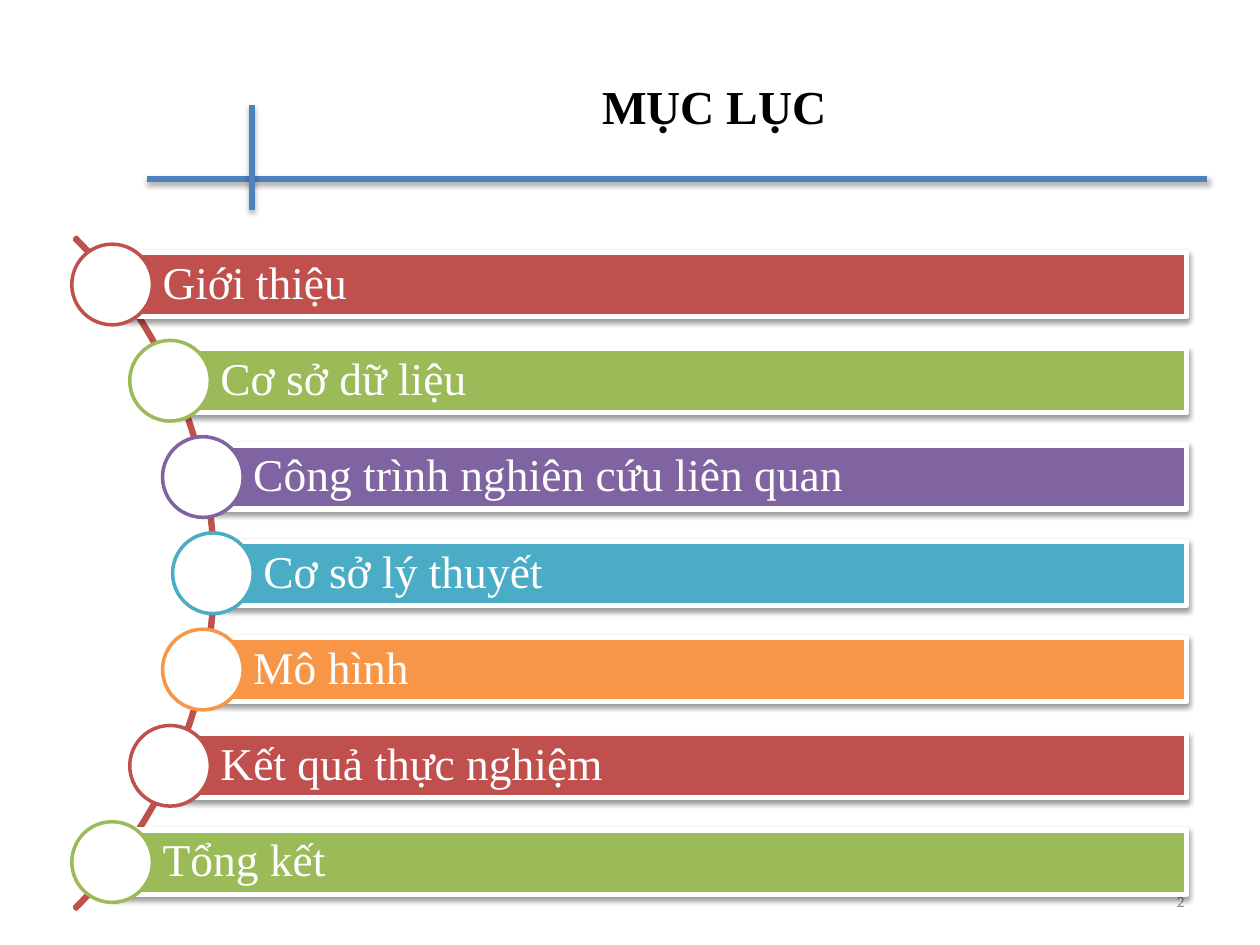
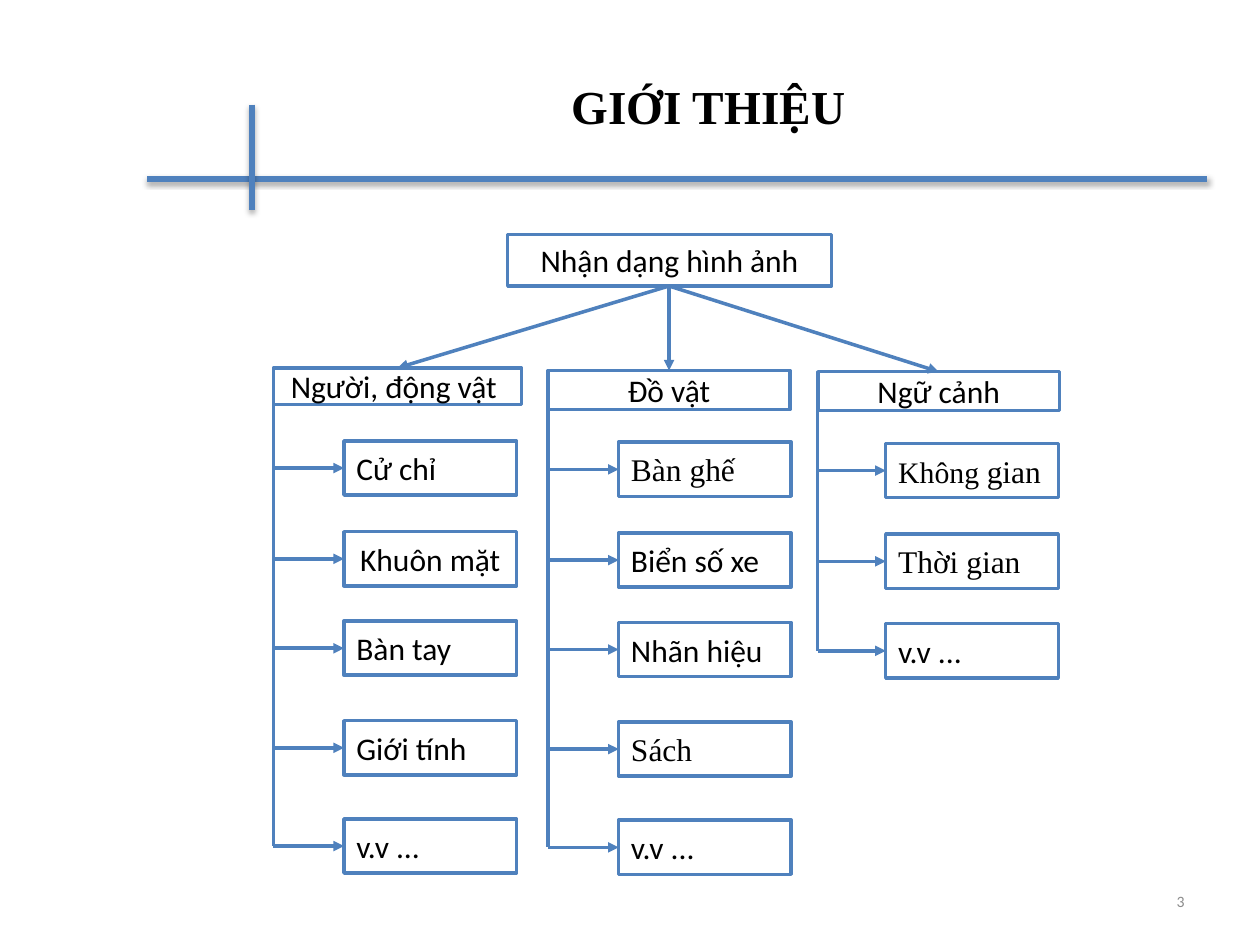
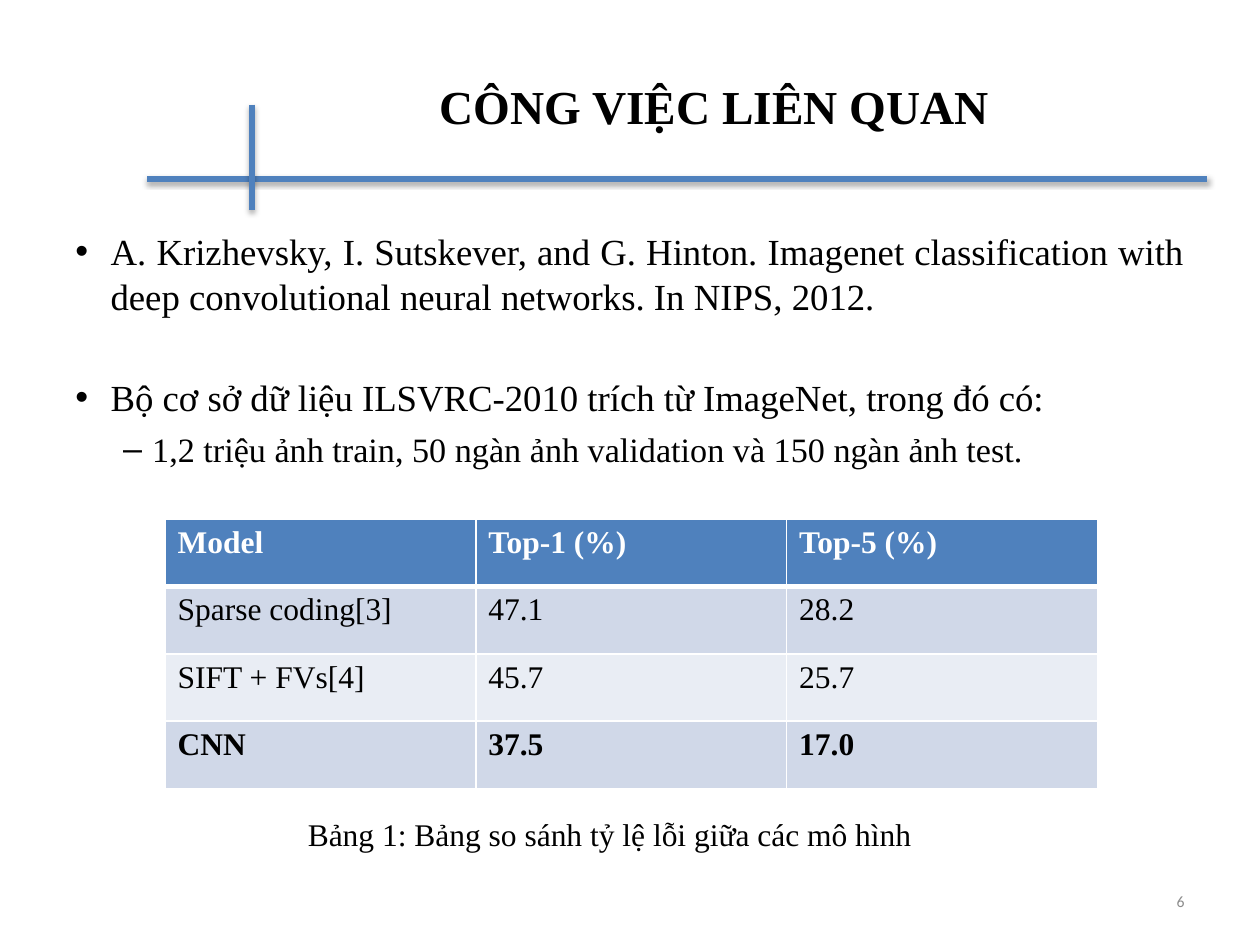
import pptx
import pptx.dml.color
import pptx.enum.shapes
import pptx.enum.text
import pptx.oxml
import pptx.oxml.ns
import pptx.util
from lxml import etree

Inches, Pt = pptx.util.Inches, pptx.util.Pt
SHAPE = pptx.enum.shapes.MSO_SHAPE
ALIGN = pptx.enum.text.PP_ALIGN
ANCHOR = pptx.enum.text.MSO_ANCHOR
qn = pptx.oxml.ns.qn

# Shared colours and text formats
BLUE, RED, GREEN, PURPLE, TEAL, ORANGE = (
    "4F81BD", "C0504D", "9BBB59", "8064A2", "4BACC6", "F79646")
WHITE, BLACK, GREY = "FFFFFF", "000000", "8C8C8C"
SERIF, SANS = "Times New Roman", "Calibri"

TITLE = dict(name=SERIF, size=Pt(27), bold=True, color=BLACK)
AGENDA = dict(name=SERIF, size=Pt(26), color=WHITE)
BOX = dict(name=SANS, size=Pt(18), color=BLACK)
SERIF_BOX = dict(BOX, name=SERIF)
BULLET = dict(name=SERIF, size=Pt(21), color=BLACK)
SUB_BULLET = dict(BULLET, size=Pt(19.5))
NUMBER = dict(name=SANS, size=Pt(9), color=GREY)


def rgb(value):
    return pptx.dml.color.RGBColor.from_string(value)


def add_run(p, text, fmt):
    r = p.add_run()
    r.text = text
    for key, value in fmt.items():
        if key == "color":
            r.font.color.rgb = rgb(value)
        else:
            setattr(r.font, key, value)


def set_effects(sp, shadow_alpha=None):
    """Replace the theme shadow by none, or by a soft one below."""
    effects = etree.SubElement(sp._element.spPr, qn("a:effectLst"))
    if shadow_alpha:
        shadow = etree.SubElement(
            effects, qn("a:outerShdw"), blurRad=str(Pt(3.1)), dist=str(Pt(1.7)),
            dir="5400000", rotWithShape="0")
        color = etree.SubElement(shadow, qn("a:srgbClr"), val=BLACK)
        etree.SubElement(color, qn("a:alpha"), val=str(shadow_alpha * 1000))


def add_shape(s, kind, at, fill, line, width=2, shadow_alpha=None):
    sp = s.shapes.add_shape(kind, *map(Inches, at))
    if fill:
        sp.fill.solid()
        sp.fill.fore_color.rgb = rgb(fill)
    else:
        sp.fill.background()
    sp.line.color.rgb = rgb(line)
    sp.line.width = Pt(width)
    set_effects(sp, shadow_alpha)
    return sp


def add_line(s, start, end, width=2, arrow=False, shadow_alpha=None):
    cn = s.shapes.add_connector(
        pptx.enum.shapes.MSO_CONNECTOR.STRAIGHT, *map(Inches, start + end))
    cn.line.color.rgb = rgb(BLUE)
    cn.line.width = Pt(width)
    if arrow:
        etree.SubElement(cn.line._get_or_add_ln(), qn("a:tailEnd"), type="triangle")
    set_effects(cn, shadow_alpha)


def add_text(s, at, text, fmt, align, anchor=ANCHOR.TOP):
    tf = s.shapes.add_textbox(*map(Inches, at)).text_frame
    tf.word_wrap = True
    tf.vertical_anchor = anchor
    tf.paragraphs[0].alignment = align
    add_run(tf.paragraphs[0], text, fmt)


def add_box(s, at, runs, align=ALIGN.LEFT):
    """Outlined box holding (text, format) runs."""
    tf = add_shape(s, SHAPE.RECTANGLE, at, WHITE, BLUE).text_frame
    tf.vertical_anchor = ANCHOR.MIDDLE
    p = tf.paragraphs[0]
    p.alignment = align
    for text, fmt in runs:
        add_run(p, text, fmt)


def add_slide(prs, title, number):
    s = prs.slides.add_slide(prs.slide_layouts[5])
    # Crossed rules beside the title
    add_line(s, (1.17, 1.42), (9.58, 1.42), 3, shadow_alpha=35)
    add_line(s, (2, 0.83), (2, 1.67), 3, shadow_alpha=35)
    # Title
    sp = s.shapes.title
    sp.left, sp.top, sp.width, sp.height = map(Inches, (1.17, 0.21, 9, 1.25))
    tf = sp.text_frame
    tf.auto_size = pptx.enum.text.MSO_AUTO_SIZE.NONE
    tf.vertical_anchor = ANCHOR.MIDDLE
    tf.paragraphs[0].alignment = ALIGN.CENTER
    add_run(tf.paragraphs[0], title, TITLE)
    # Page number
    add_text(s, (7.17, 6.95, 2.33, 0.4), number, NUMBER, ALIGN.RIGHT, ANCHOR.MIDDLE)
    return s


def add_agenda(s, entries):
    """Bars hung on an arc, each with a circle at its left end."""
    arc = add_shape(s, SHAPE.BLOCK_ARC, (-5.83, 0.78, 7.54, 7.54), None, RED)
    for i, value in enumerate((189, 27, 0.003)):
        arc.adjustments[i] = value
    left_by_distance = (1.69, 1.61, 1.35, 0.89)
    middle, right, bar_height, circle = len(entries) // 2, 9.42, 0.51, 0.64
    for i, (text, color) in enumerate(entries):
        x = left_by_distance[abs(i - middle)]
        y = 4.55 + (i - middle) * 0.764
        bar = add_shape(s, SHAPE.RECTANGLE,
                        (x, y - bar_height / 2, right - x, bar_height),
                        color, WHITE, 3, shadow_alpha=38)
        tf = bar.text_frame
        tf.margin_left = Inches(0.4)
        tf.vertical_anchor = ANCHOR.MIDDLE
        p = tf.paragraphs[0]
        p.alignment = ALIGN.LEFT
        p.line_spacing = 0.9
        add_run(p, text, AGENDA)
        add_shape(s, SHAPE.OVAL, (x - circle / 2, y - circle / 2, circle, circle),
                  WHITE, color)


def add_branch(s, root, head_at, head, item_left, item_top, items):
    """Category box with a trunk and an arrow to each item below it."""
    x, y, w, h = head_at
    item_width, item_height = 1.37, 0.43
    drops = (0, 0.72, 1.43, 2.22, 3)
    add_box(s, head_at, [(head, BOX)], ALIGN.CENTER)
    add_line(s, root, (x + w / 2, y), arrow=True)
    for drop, (runs, align) in zip(drops, items):
        top = item_top + drop
        add_box(s, (item_left, top, item_width, item_height), runs, align)
        arrow_y = top + item_height / 2
        add_line(s, (x, arrow_y), (item_left, arrow_y), arrow=True)
    add_line(s, (x, y + h / 2), (x, arrow_y))


def item(text, fmt=BOX, align=ALIGN.LEFT):
    return [(text, fmt)], align


def add_bullets(s, at, bullets):
    tf = s.shapes.add_textbox(*map(Inches, at)).text_frame
    tf.word_wrap = True
    for i, (text, mark, fmt, indent, hang, before) in enumerate(bullets):
        p = tf.add_paragraph() if i else tf.paragraphs[0]
        pPr = p._p.get_or_add_pPr()
        pPr.set("marL", str(Inches(indent)))
        pPr.set("indent", str(-Inches(hang)))
        etree.SubElement(pPr, qn("a:buFont"), typeface="Arial")
        etree.SubElement(pPr, qn("a:buChar"), char=mark)
        p.alignment = ALIGN.JUSTIFY
        p.space_before = Pt(before)
        add_run(p, text, fmt)


def set_borders(cell, widths):
    tcPr = cell._tc.get_or_add_tcPr()
    for side, width in zip("LRTB", widths):
        ln = etree.SubElement(tcPr, qn("a:ln" + side), w=str(Pt(width)))
        fill = etree.SubElement(ln, qn("a:solidFill"))
        etree.SubElement(fill, qn("a:srgbClr"), val=WHITE)


def add_results(s, at, rows):
    table = s.shapes.add_table(len(rows), len(rows[0]), *map(Inches, at)).table
    table.first_row = table.horz_banding = False
    fills = (BLUE, "D0D8E8", "E9EDF4", "D0D8E8")
    for i, row in enumerate(rows):
        fmt = dict(SERIF_BOX, color=BLACK if i else WHITE,
                   bold=i in (0, len(rows) - 1))
        for j, text in enumerate(row):
            cell = table.cell(i, j)
            set_borders(cell, (1, 1, 3 if i == 1 else 1, 1 if i else 3))
            cell.fill.solid()
            cell.fill.fore_color.rgb = rgb(fills[i])
            add_run(cell.text_frame.paragraphs[0], text, fmt)


def main():
    prs = pptx.Presentation()
    prs.slide_width, prs.slide_height = Inches(10), Inches(7.5)

    # Contents
    s = add_slide(prs, "MỤC LỤC", "2")
    add_agenda(s, [
        ("Giới thiệu", RED),
        ("Cơ sở dữ liệu", GREEN),
        ("Công trình nghiên cứu liên quan", PURPLE),
        ("Cơ sở lý thuyết", TEAL),
        ("Mô hình", ORANGE),
        ("Kết quả thực nghiệm", RED),
        ("Tổng kết", GREEN),
    ])

    # Introduction tree
    s = add_slide(prs, "GIỚI THIỆU ", "3")
    add_box(s, (4.03, 1.86, 2.57, 0.41), [("Nhận dạng hình ảnh", BOX)], ALIGN.CENTER)
    root = (5.31, 2.27)
    add_branch(s, root, (2.17, 2.92, 1.97, 0.29), "Người, động vật ", 2.73, 3.5, [
        item("Cử chỉ"), item("Khuôn mặt", align=ALIGN.CENTER), item("Bàn tay"),
        item("Giới tính"), item("v.v ...")])
    add_branch(s, root, (4.35, 2.94, 1.92, 0.31), "Đồ vật", 4.91, 3.51, [
        item("Bàn ghế", SERIF_BOX), item("Biển số xe"), item("Nhãn hiệu"),
        item("Sách", SERIF_BOX), item("v.v ...")])
    scene = [("Không ", dict(SERIF_BOX, size=Pt(17))), ("gian", SERIF_BOX)]
    add_branch(s, root, (6.49, 2.95, 1.92, 0.31), "Ngữ cảnh", 7.03, 3.52, [
        (scene, ALIGN.LEFT), item("Thời gian", SERIF_BOX), item("v.v ...")])

    # Related work
    s = add_slide(prs, "CÔNG VIỆC LIÊN QUAN", "6")
    add_bullets(s, (0.5, 1.77, 9, 2.1), [
        ("A. Krizhevsky, I. Sutskever, and G. Hinton. Imagenet classification with "
         "deep convolutional neural networks. In NIPS, 2012.",
         "•", BULLET, 0.28, 0.28, 0),
        ("Bộ cơ sở dữ liệu ILSVRC-2010 trích từ ImageNet, trong đó có:",
         "•", BULLET, 0.28, 0.28, 33),
        ("1,2 triệu ảnh train, 50 ngàn ảnh validation và 150 ngàn ảnh test.",
         "–", SUB_BULLET, 0.61, 0.23, 5),
    ])
    add_results(s, (1.31, 4.12, 7.4, 2.14), [
        ("Model", "Top-1 (%)", "Top-5 (%)"),
        ("Sparse coding[3]", "47.1", "28.2"),
        ("SIFT + FVs[4]", "45.7", "25.7"),
        ("CNN", "37.5", "17.0"),
    ])
    add_text(s, (2, 6.42, 5.68, 0.4), "Bảng 1: Bảng so sánh tỷ lệ lỗi giữa các mô hình",
             SERIF_BOX, ALIGN.CENTER)

    prs.save("out.pptx")


if __name__ == "__main__":
    main()
